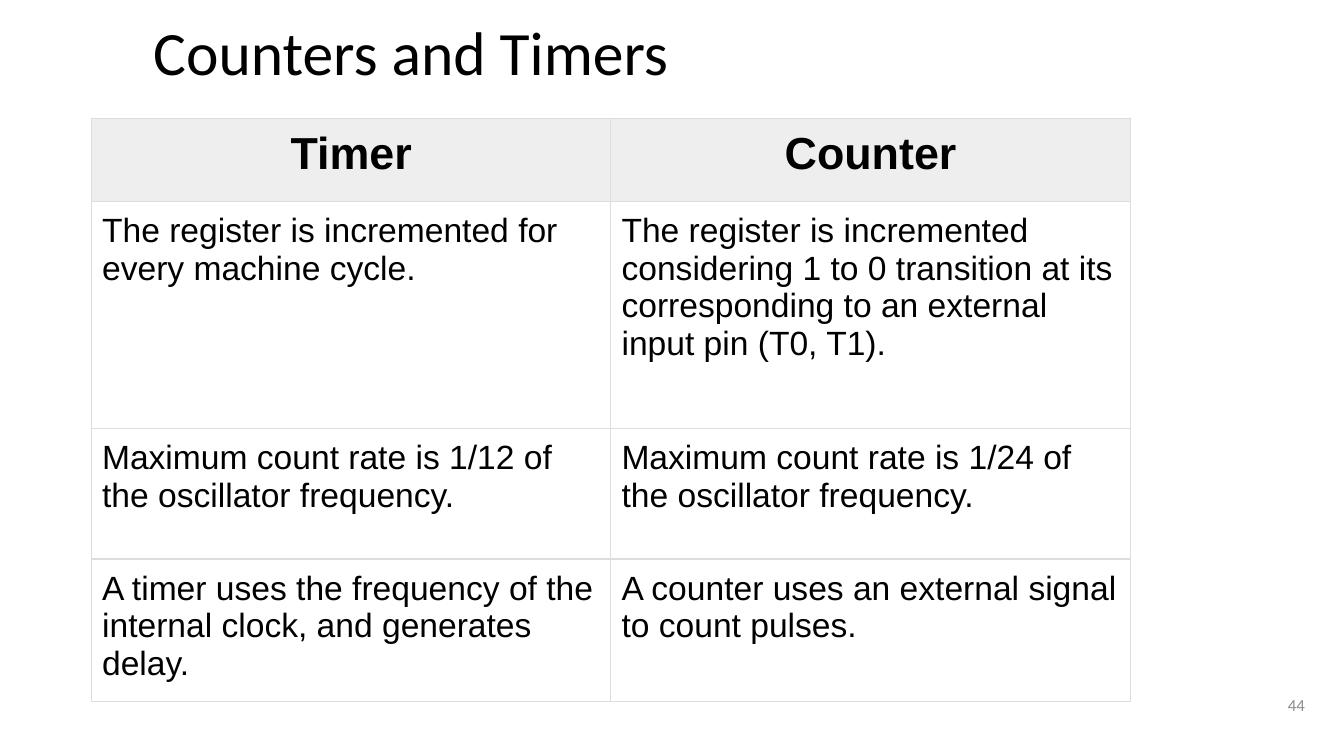
"""Build the slide that compares timers and counters."""
from lxml import etree
from pptx import Presentation
from pptx.dml.color import RGBColor
from pptx.enum.text import MSO_ANCHOR, PP_ALIGN
from pptx.oxml.ns import qn
from pptx.util import Inches, Pt

LEFT, CENTER, RIGHT = PP_ALIGN.LEFT, PP_ALIGN.CENTER, PP_ALIGN.RIGHT
TOP, MIDDLE, BOTTOM = MSO_ANCHOR.TOP, MSO_ANCHOR.MIDDLE, MSO_ANCHOR.BOTTOM
TITLE_ONLY = 5
COLORS = {"text": "000000", "number": "8C8C8C", "header": "EEEEEE", "border": "DDDDDD"}
TITLE = {"name": "Calibri", "size": Pt(33), "bold": False}
NUMBER = {"name": "Calibri", "size": Pt(9)}
HEADER = {"name": "Arial", "size": Pt(24), "bold": True}
BODY = {"name": "Arial", "size": Pt(18), "bold": False}
MARGINS = ("margin_left", "margin_top", "margin_right", "margin_bottom")
ROW_HEIGHTS = (0.62, 1.69, 0.97, 1.01)
ROWS = (
    ("Timer", "Counter"),
    ("The register is incremented for every machine cycle.",
     "The register is incremented considering 1 to 0 transition at its "
     "corresponding to an external input pin (T0, T1)."),
    ("Maximum count rate is 1/12 of the oscillator frequency.",
     "Maximum count rate is 1/24 of the oscillator frequency."),
    ("A timer uses the frequency of the internal clock, and generates delay.",
     "A counter uses an external signal to count pulses."),
)


def set_margins(target, inches):
    for side in MARGINS:
        setattr(target, side, Inches(inches))


def set_text(tf, text, fmt, color="text", align=LEFT):
    p = tf.paragraphs[0]
    p.alignment = align
    r = p.add_run()
    r.text = text
    for key, value in fmt.items():
        setattr(r.font, key, value)
    r.font.color.rgb = RGBColor.from_string(COLORS[color])
    return p


def setup_frame(sp, box, anchor):
    sp.left, sp.top, sp.width, sp.height = (Inches(v) for v in box)
    tf = sp.text_frame
    tf.word_wrap = True
    tf.vertical_anchor = anchor
    set_margins(tf, 0)
    return tf


def add_title(s, text):
    tf = setup_frame(s.shapes.title, (1.14, 0.23, 7.73, 0.43), BOTTOM)
    set_text(tf, text, TITLE).line_spacing = 0.9


def add_page_number(s, text):
    box = (9.11, 5.03, 0.6, 0.43)
    sp = s.shapes.add_textbox(*(Inches(v) for v in box))
    set_text(setup_frame(sp, box, MIDDLE), text, NUMBER, "number", RIGHT)


def set_borders(cell):
    tc_pr = cell._tc.get_or_add_tcPr()
    for side in ("lnL", "lnR", "lnT", "lnB"):
        ln = etree.SubElement(tc_pr, qn(f"a:{side}"), w=str(Pt(0.75)))
        fill = etree.SubElement(ln, qn("a:solidFill"))
        etree.SubElement(fill, qn("a:srgbClr"), val=COLORS["border"])


def format_cell(cell, text, is_header):
    set_margins(cell, 0.08)
    cell.vertical_anchor = TOP
    set_borders(cell)
    if is_header:
        cell.fill.solid()
        cell.fill.fore_color.rgb = RGBColor.from_string(COLORS["header"])
        set_text(cell.text_frame, text, HEADER, align=CENTER)
    else:
        cell.fill.background()
        set_text(cell.text_frame, text, BODY)


def add_comparison(s):
    box = (0.68, 0.88, 7.73, sum(ROW_HEIGHTS))
    table = s.shapes.add_table(len(ROWS), len(ROWS[0]), *(Inches(v) for v in box)).table
    table.horz_banding = False
    for i, (height, texts) in enumerate(zip(ROW_HEIGHTS, ROWS)):
        table.rows[i].height = Inches(height)
        for j, text in enumerate(texts):
            format_cell(table.cell(i, j), text, i == 0)


def main():
    prs = Presentation()
    prs.slide_width = Inches(10)
    prs.slide_height = prs.slide_width * 9 // 16
    s = prs.slides.add_slide(prs.slide_layouts[TITLE_ONLY])
    add_title(s, "Counters and Timers")
    add_page_number(s, "44")
    add_comparison(s)
    prs.save("out.pptx")


if __name__ == "__main__":
    main()
